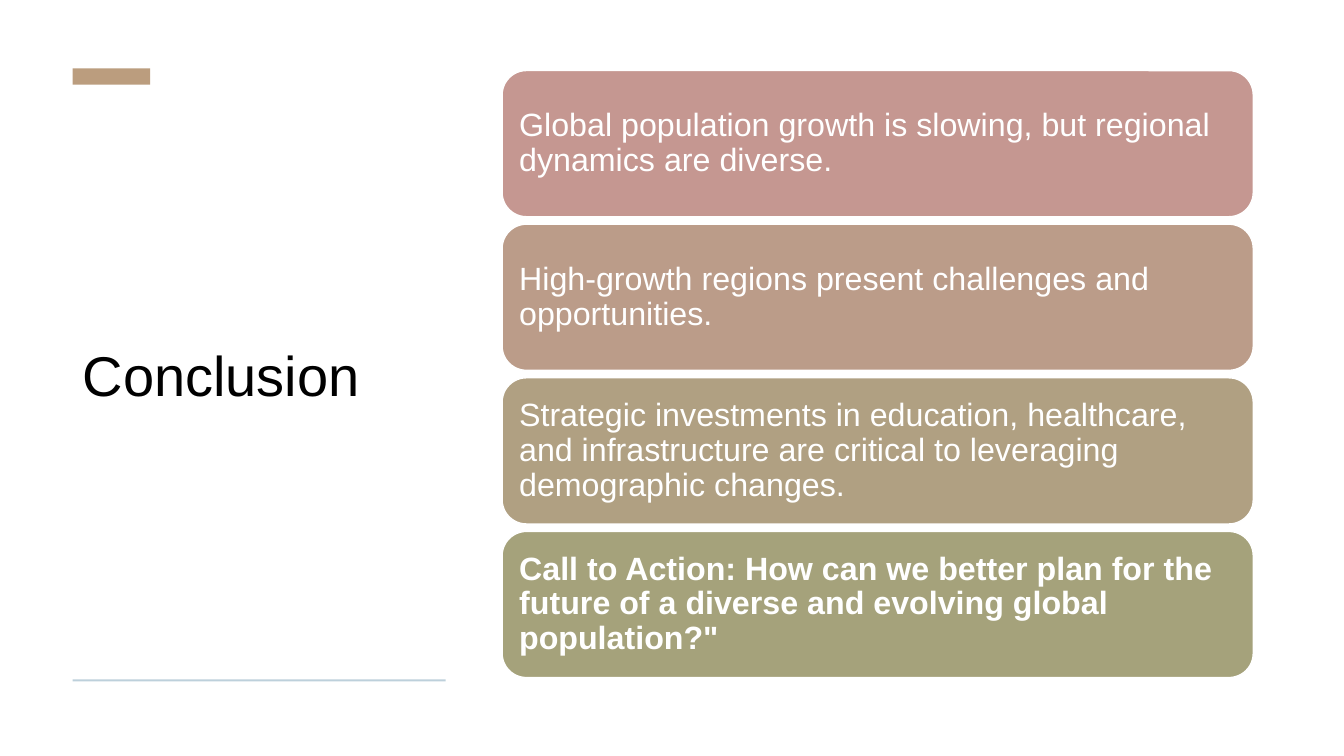
"""Build the Conclusion slide with four stacked message cards."""
from pptx import Presentation
from pptx.dml.color import RGBColor
from pptx.enum.shapes import MSO_SHAPE
from pptx.enum.text import MSO_ANCHOR, PP_ALIGN
from pptx.util import Inches, Pt

RECT = MSO_SHAPE.RECTANGLE
ROUND = MSO_SHAPE.ROUNDED_RECTANGLE
MIDDLE = MSO_ANCHOR.MIDDLE
LEFT = PP_ALIGN.LEFT
COLORS = {
    "white": "FFFFFF", "black": "000000", "tan": "BB9D7E", "rule": "BDD0DB",
    "rose": "C59791", "clay": "BB9C89", "sand": "B0A082", "olive": "A5A27B",
}
CARDS = [
    ("rose", "Global population growth is slowing, but regional dynamics are diverse."),
    ("clay", "High-growth regions present challenges and opportunities."),
    ("sand", "Strategic investments in education, healthcare, and infrastructure "
             "are critical to leveraging demographic changes."),
    ("olive", "Call to Action: How can we better plan for the future of a diverse "
              "and evolving global population?\""),
]


def add_box(kind, left, top, width, height, color):
    box = slide.shapes.add_shape(
        kind, Inches(left), Inches(top), Inches(width), Inches(height))
    box.shadow.inherit = False
    box.fill.solid()
    box.fill.fore_color.rgb = RGBColor.from_string(COLORS[color])
    box.line.fill.background()
    return box


def set_text(shape, text, size, color):
    frame = shape.text_frame
    frame.text = text
    frame.word_wrap = True
    frame.vertical_anchor = MIDDLE
    para = frame.paragraphs[0]
    para.alignment = LEFT
    para.line_spacing = 0.9
    para.font.name = "Arial"
    para.font.size = Pt(size)
    para.font.color.rgb = RGBColor.from_string(COLORS[color])
    return para


deck = Presentation()
deck.slide_width, deck.slide_height = Inches(13.33), Inches(7.5)
slide = deck.slides.add_slide(deck.slide_layouts[5])

title = slide.shapes.title
title.left, title.top = Inches(0.72), Inches(1.05)
title.width, title.height = Inches(3.7), Inches(5.41)
set_text(title, "Conclusion", 40, "black")

add_box(RECT, 0.72, 0.68, 0.77, 0.16, "tan")
add_box(RECT, 0.72, 6.74, 3.7, 0.02, "rule")

for i, (color, text) in enumerate(CARDS):
    card = add_box(ROUND, 4.98, 0.7 + i * 1.524, 7.45, 1.45, color)
    card.line.color.rgb = RGBColor.from_string(COLORS["white"])
    card.line.width = Pt(1)
    frame = card.text_frame
    frame.margin_left = frame.margin_right = Inches(0.1)
    frame.margin_top = frame.margin_bottom = Inches(0.1)
    para = set_text(card, text, 23, "white")
    para.font.bold = color == "olive"

deck.save("out.pptx")
